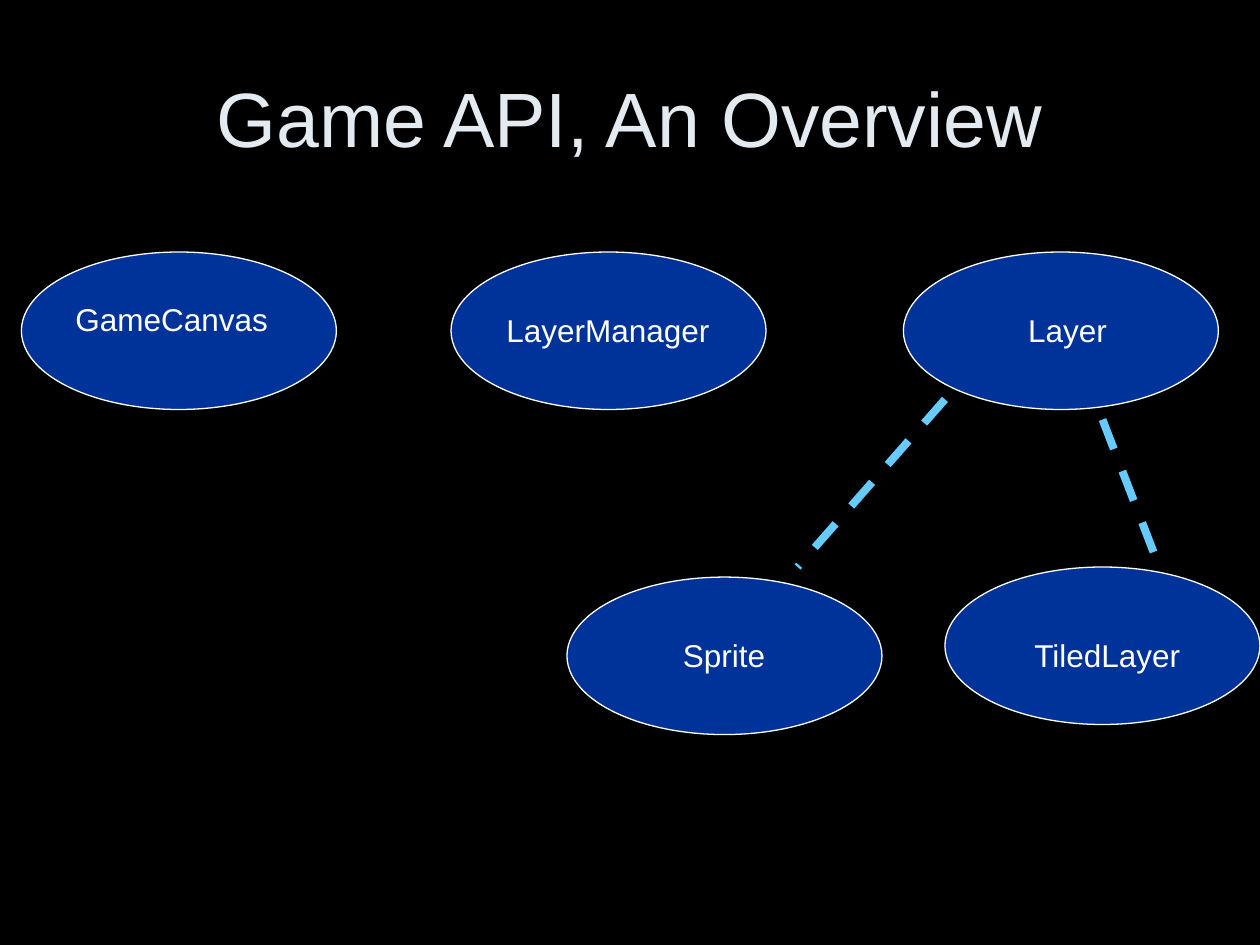
from lxml import etree
from pptx import Presentation
from pptx.dml.color import RGBColor
from pptx.enum.dml import MSO_LINE
from pptx.enum.shapes import MSO_CONNECTOR, MSO_SHAPE
from pptx.enum.text import MSO_ANCHOR, MSO_AUTO_SIZE, PP_ALIGN
from pptx.oxml.ns import qn
from pptx.util import Inches, Pt

OVAL, STRAIGHT = MSO_SHAPE.OVAL, MSO_CONNECTOR.STRAIGHT
CENTER, LEFT = PP_ALIGN.CENTER, PP_ALIGN.LEFT
MIDDLE, TOP = MSO_ANCHOR.MIDDLE, MSO_ANCHOR.TOP
FIT_SHAPE, NO_FIT = MSO_AUTO_SIZE.SHAPE_TO_FIT_TEXT, MSO_AUTO_SIZE.NONE

THEME = {
    "background": "000000",
    "oval": "003399",
    "outline": "FFFFFF",
    "link": "66CCFF",
    "title": {"name": "Arial", "size": Pt(44), "color": "E3EBF1"},
    "label": {"name": "Arial", "size": Pt(18), "color": "FFFFFF"},
}

TITLE = "Game API, An Overview"
# Class name, oval corner, label corner, label indent
CLASSES = [
    ("GameCanvas", (0.17, 2), (0.5, 2.33), 0),
    ("LayerManager", (3.58, 2), (3.92, 2.42), 0),
    ("Layer", (7.17, 2), (7.5, 2.42), 0.56),
    ("Sprite", (4.5, 4.58), (4.83, 5), 0.49),
    ("TiledLayer", (7.5, 4.5), (7.83, 5), 0.28),
]
INHERITANCE = [((7.5, 3.17), (6.33, 4.5)), ((8.75, 3.33), (9.17, 4.42))]

SLIDE_SIZE = (10, 7.5)
TITLE_AREA = (0.5, 0.3, 9, 1.25)
OVAL_SIZE = (2.5, 1.25)
LABEL_SIZE = (1.83, 0.4)
INSET = 0.1


def inches(*values):
    return [Inches(value) for value in values]


def rgb(value):
    return RGBColor.from_string(value)


def add_text(slide, text, area, style, align, anchor, fit, indent=0):
    box = slide.shapes.add_textbox(*inches(*area))
    frame = box.text_frame
    settings = {"word_wrap": True, "auto_size": fit, "vertical_anchor": anchor,
                "margin_left": Inches(INSET + indent)}
    for name, value in settings.items():
        setattr(frame, name, value)
    para = frame.paragraphs[0]
    para.alignment = align
    span = para.add_run()
    span.text = text
    for name, value in style.items():
        if name == "color":
            span.font.color.rgb = rgb(value)
        else:
            setattr(span.font, name, value)


def add_oval(slide, corner):
    oval = slide.shapes.add_shape(OVAL, *inches(*corner, *OVAL_SIZE))
    oval.shadow.inherit = False
    oval.fill.solid()
    oval.fill.fore_color.rgb = rgb(THEME["oval"])
    oval.line.color.rgb = rgb(THEME["outline"])
    oval.line.width = Pt(0.75)


def add_link(slide, start, end):
    link = slide.shapes.add_connector(STRAIGHT, *inches(*start, *end))
    link.line.color.rgb = rgb(THEME["link"])
    link.line.width = Pt(4.5)
    link.line.dash_style = MSO_LINE.DASH
    etree.SubElement(link._element.spPr, qn("a:effectLst"))


def main():
    deck = Presentation()
    deck.slide_width, deck.slide_height = inches(*SLIDE_SIZE)
    slide = deck.slides.add_slide(deck.slide_layouts[6])
    slide.background.fill.solid()
    slide.background.fill.fore_color.rgb = rgb(THEME["background"])

    add_text(slide, TITLE, TITLE_AREA, THEME["title"], CENTER, MIDDLE, NO_FIT)
    for name, oval_corner, label_corner, indent in CLASSES:
        add_oval(slide, oval_corner)
        add_text(slide, name, label_corner + LABEL_SIZE, THEME["label"],
                 LEFT, TOP, FIT_SHAPE, indent)
    for start, end in INHERITANCE:
        add_link(slide, start, end)
    deck.save("out.pptx")


if __name__ == "__main__":
    main()
